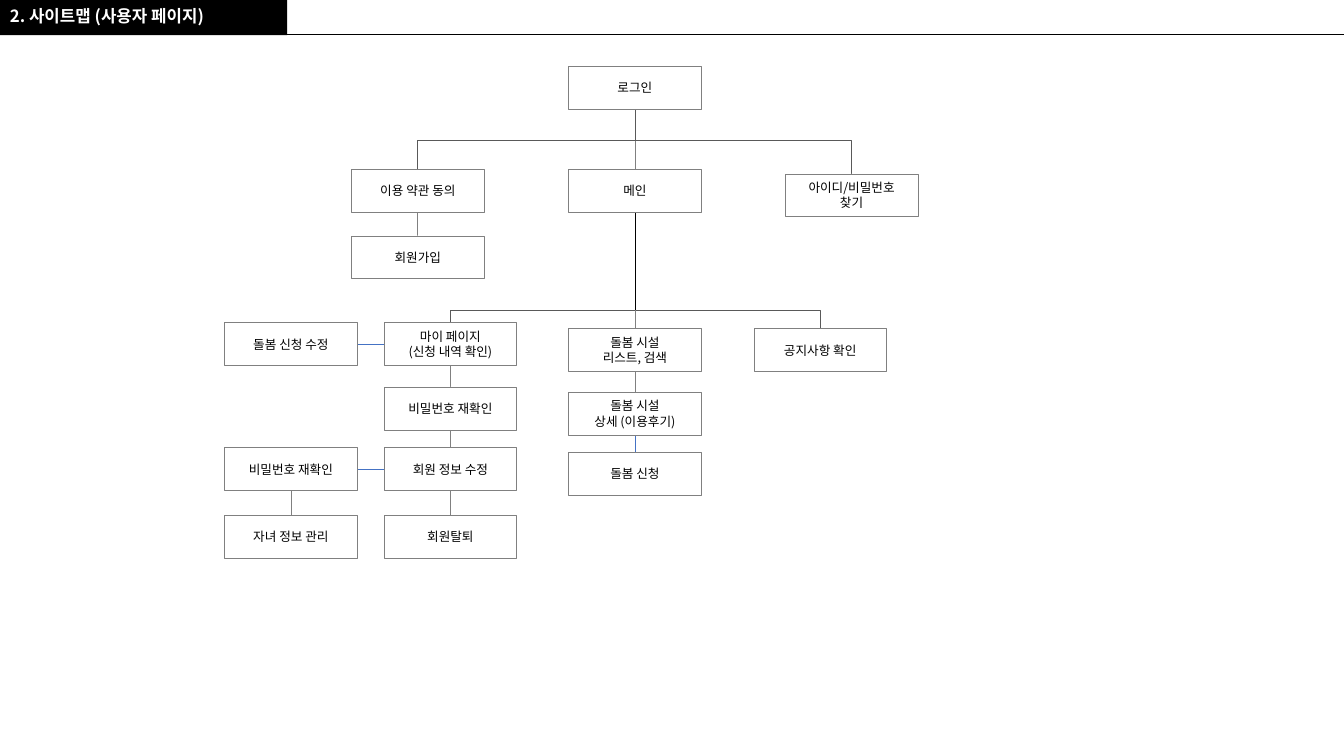
import pptx
import pptx.util
import pptx.dml.color
import pptx.enum.shapes
import pptx.enum.text
import pptx.oxml.ns
import lxml.etree

Cm = pptx.util.Cm
Pt = pptx.util.Pt
Kind = pptx.enum.shapes.MSO_CONNECTOR
qn = pptx.oxml.ns.qn

FONT = "Noto Sans CJK KR"
HUES = {"black": "000000", "white": "FFFFFF", "grey": "808080",
        "dark": "595959", "blue": "4472C4"}
BOX_W, BOX_H = 3.34, 1.08
TOP_BAR, LOW_BAR = 3.53, 7.82

# key: centre x, top y, text (cm)
NODES = {
    "login": (16, 1.67, "로그인"),
    "terms": (10.53, 4.27, "이용 약관 동의"),
    "main": (16, 4.27, "메인"),
    "find": (21.46, 4.38, "아이디/비밀번호\n찾기"),
    "join": (10.53, 5.94, "회원가입"),
    "my": (11.35, 8.13, "마이 페이지\n(신청 내역 확인)"),
    "edit": (7.33, 8.13, "돌봄 신청 수정"),
    "list": (16, 8.28, "돌봄 시설\n리스트, 검색"),
    "news": (20.67, 8.28, "공지사항 확인"),
    "check": (11.35, 9.75, "비밀번호 재확인"),
    "detail": (16, 9.88, "돌봄 시설\n상세 (이용후기)"),
    "info": (11.35, 11.28, "회원 정보 수정"),
    "recheck": (7.33, 11.28, "비밀번호 재확인"),
    "apply": (16, 11.4, "돌봄 신청"),
    "child": (7.33, 12.98, "자녀 정보 관리"),
    "leave": (11.35, 12.98, "회원탈퇴"),
}
DOWN = [("login", "main", "grey"), ("terms", "join", "grey"),
        ("my", "check", "grey"), ("check", "info", "grey"),
        ("info", "leave", "grey"), ("recheck", "child", "grey"),
        ("list", "detail", "grey"), ("detail", "apply", "blue")]
ACROSS = [("edit", "my"), ("recheck", "info")]


def rgb(hue):
    return pptx.dml.color.RGBColor.from_string(HUES[hue])


def style(para, size, hue, bold=False):
    para.font.name = FONT
    para.font.size = Pt(size)
    para.font.bold = bold
    para.font.color.rgb = rgb(hue)
    props = para._p.get_or_add_pPr().find(qn("a:defRPr"))
    lxml.etree.SubElement(props, qn("a:ea")).set("typeface", FONT)


def rect(slide, x, y, w, h, fill, line=None):
    shape = slide.shapes.add_shape(pptx.enum.shapes.MSO_SHAPE.RECTANGLE,
                                   Cm(x), Cm(y), Cm(w), Cm(h))
    shape.shadow.inherit = False
    shape.fill.solid()
    shape.fill.fore_color.rgb = rgb(fill)
    if line:
        shape.line.color.rgb = rgb(line)
        shape.line.width = Pt(0.25)
    else:
        shape.line.fill.background()
    return shape


def wire(slide, start, end, hue, kind=Kind.STRAIGHT):
    line = slide.shapes.add_connector(kind, *map(Cm, start + end))
    line.line.color.rgb = rgb(hue)
    line.line.width = Pt(0.5)
    lxml.etree.SubElement(line._element.spPr, qn("a:effectLst"))
    return line


def fork(slide, start, end):
    """Elbow that leaves downwards and turns half way."""
    (x1, y1), (x2, y2) = start, end
    midx, midy = (x1 + x2) / 2, (y1 + y2) / 2
    run, drop = abs(x2 - x1), y2 - y1
    left, top = midx - drop / 2, midy - run / 2
    line = wire(slide, (left, top), (left + drop, top + run), "dark", Kind.ELBOW)
    frame = line._element.spPr.find(qn("a:xfrm"))
    frame.set("rot", str((90 if x2 < x1 else 270) * 60000))
    if x2 > x1:
        frame.set("flipH", "1")


def corner(slide, start, end):
    """Elbow that runs across, then turns down once."""
    line = wire(slide, start, end, "dark", Kind.ELBOW)
    line._element.spPr.find(qn("a:prstGeom")).set("prst", "bentConnector2")


def header(slide, x, y, w, h):
    rect(slide, x, y, 7.24, h, "black")
    wire(slide, (x + 7, y + 0.87), (x + w, y + 0.87), "black")
    text = slide.shapes.add_textbox(Cm(x), Cm(y + 0.08), Cm(7.24), Cm(h - 0.08))
    text.text_frame.word_wrap = True
    text.text_frame.text = "2. 사이트맵 (사용자 페이지)"
    para = text.text_frame.paragraphs[0]
    para.line_spacing = 0.9
    style(para, 12, "white", True)


def node(slide, mid, top, text):
    shape = rect(slide, mid - BOX_W / 2, top, BOX_W, BOX_H, "white", "grey")
    frame = shape.text_frame
    frame.word_wrap = True
    frame.vertical_anchor = pptx.enum.text.MSO_ANCHOR.MIDDLE
    frame.text = text
    for para in frame.paragraphs:
        para.alignment = pptx.enum.text.PP_ALIGN.CENTER
        style(para, 9, "black")


def sitemap(slide, x, y):
    spots = {key: (x + mid, y + top) for key, (mid, top, _) in NODES.items()}

    def foot(key):
        return spots[key][0], spots[key][1] + BOX_H

    for upper, lower, hue in DOWN:
        wire(slide, foot(upper), spots[lower], hue)
    for left, right in ACROSS:
        level = spots[left][1] + BOX_H / 2
        wire(slide, (spots[left][0] + BOX_W / 2, level),
             (spots[right][0] - BOX_W / 2, level), "blue")

    trunk = spots["main"][0]
    for key in ("terms", "find"):
        end = spots[key]
        fork(slide, (trunk, 2 * (y + TOP_BAR) - end[1]), end)
    hub = (trunk, y + LOW_BAR)
    for key in ("my", "news"):
        corner(slide, hub, spots[key])
    wire(slide, hub, spots["list"], "grey")
    wire(slide, foot("main"), hub, "black")

    for key, (mid, top) in spots.items():
        node(slide, mid, top, NODES[key][2])


def main():
    deck = pptx.Presentation()
    deck.slide_width, deck.slide_height = Cm(33.87), Cm(19.05)
    slide = deck.slides.add_slide(deck.slide_layouts[6])
    header(slide, 0, 0, 33.87, 0.89)
    sitemap(slide, 0, 0)
    deck.save("out.pptx")


if __name__ == "__main__":
    main()
